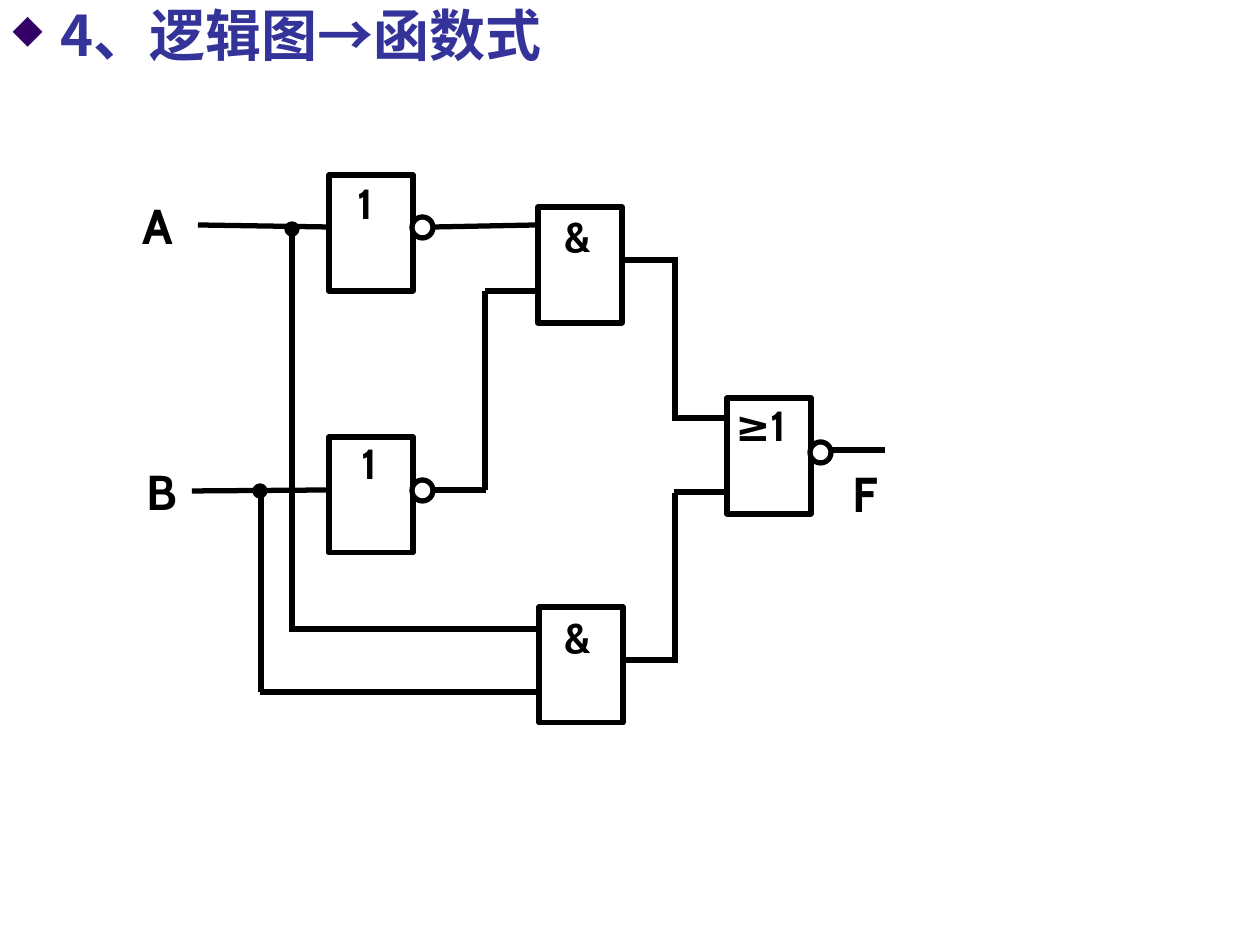
from typing import NamedTuple

from lxml.etree import SubElement
from pptx import Presentation
from pptx.dml.color import RGBColor
from pptx.enum.shapes import MSO_CONNECTOR, MSO_SHAPE
from pptx.enum.text import MSO_ANCHOR, MSO_AUTO_SIZE, PP_ALIGN
from pptx.oxml.ns import qn
from pptx.util import Inches, Pt

EMU_PER_PX = Inches(1) / 126
BLACK = RGBColor(0x00, 0x00, 0x00)
WHITE = RGBColor(0xFF, 0xFF, 0xFF)
TITLE_BLUE = RGBColor(0x33, 0x33, 0x99)
BULLET_PURPLE = RGBColor(0x33, 0x00, 0x66)
TITLE_FONT = "Noto Sans CJK SC"
TITLE_FORMAT = {"name": TITLE_FONT, "size": Pt(32), "bold": True}
GATE_FORMAT = {"name": "Cabin", "size": Pt(24), "bold": True}
SIGNAL_FORMAT = {"name": "Cabin", "size": Pt(28), "bold": True}
LINE_WIDTH = Pt(3)
GATE_SIZE = (84, 116)
BUBBLE_SIZE = (21, 21)
JUNCTION_SIZE = (10, 10)


class Wire(NamedTuple):
    x1: int
    y1: int
    x2: int
    y2: int


class Label(NamedTuple):
    text: str
    left: int
    top: int
    width: int
    height: int


class Gate(NamedTuple):
    left: int
    top: int
    label: Label


class Point(NamedTuple):
    left: int
    top: int


WIRES = [
    # Inputs A and B, and their branches to the lower AND gate
    Wire(198, 225, 330, 227),
    Wire(192, 491, 329, 490),
    Wire(292, 228, 292, 632),
    Wire(292, 629, 539, 629),
    Wire(261, 491, 261, 692),
    Wire(260, 692, 539, 692),
    # Inverters to the upper AND gate
    Wire(433, 227, 537, 225),
    Wire(433, 490, 486, 490),
    Wire(485, 291, 485, 490),
    Wire(485, 291, 538, 291),
    # AND gates to the NOR gate
    Wire(622, 260, 675, 260),
    Wire(675, 257, 675, 421),
    Wire(674, 418, 727, 418),
    Wire(622, 660, 676, 660),
    Wire(675, 493, 675, 663),
    Wire(674, 492, 727, 492),
    # Output F
    Wire(832, 450, 885, 450),
]
GATES = [
    Gate(329, 175, Label("1", 345, 171, 42, 63)),
    Gate(329, 437, Label("1", 349, 431, 42, 63)),
    Gate(538, 207, Label("&", 552, 204, 84, 63)),
    Gate(539, 607, Label("&", 552, 605, 84, 63)),
    Gate(727, 398, Label("≥1", 723, 393, 116, 63)),
]
BUBBLES = [Point(412, 217), Point(412, 480), Point(810, 442)]
JUNCTIONS = [Point(287, 224), Point(255, 486)]
SIGNALS = [
    Label("A", 130, 189, 74, 72),
    Label("B", 134, 455, 78, 72),
    Label("F", 840, 457, 74, 72),
]


def px(length: int) -> int:
    return round(length * EMU_PER_PX)


def format_run(run, formats: dict, color: RGBColor) -> None:
    for attribute, value in formats.items():
        setattr(run.font, attribute, value)
    run.font.color.rgb = color


def add_title(slide, text: str) -> None:
    title = slide.shapes.title
    places = {"left": px(0), "top": px(9), "width": px(1102), "height": px(62)}
    for attribute, value in places.items():
        setattr(title, attribute, value)
    frame = title.text_frame
    frame.auto_size = MSO_AUTO_SIZE.NONE
    frame.vertical_anchor = MSO_ANCHOR.MIDDLE
    paragraph = frame.paragraphs[0]
    paragraph.alignment = PP_ALIGN.LEFT
    paragraph.line_spacing = 0.8

    # Diamond bullet with a hanging indent
    properties = paragraph._p.get_or_add_pPr()
    properties.set("marL", str(px(48)))
    properties.set("indent", str(px(-48)))
    bullet_color = SubElement(properties, qn("a:buClr"))
    SubElement(bullet_color, qn("a:srgbClr"), val=str(BULLET_PURPLE))
    SubElement(properties, qn("a:buSzPct"), val="70000")
    SubElement(properties, qn("a:buChar"), char="◆")

    run = paragraph.add_run()
    run.text = text
    format_run(run, TITLE_FORMAT, TITLE_BLUE)
    SubElement(run._r.get_or_add_rPr(), qn("a:ea"), typeface=TITLE_FONT)


def add_wire(slide, wire: Wire) -> None:
    connector = slide.shapes.add_connector(
        MSO_CONNECTOR.STRAIGHT, *(px(value) for value in wire))
    connector.line.color.rgb = BLACK
    connector.line.width = LINE_WIDTH
    SubElement(connector._element.spPr, qn("a:effectLst"))


def add_outlined(slide, kind: MSO_SHAPE, left: int, top: int,
                 size: tuple[int, int], fill: RGBColor = WHITE) -> None:
    shape = slide.shapes.add_shape(
        kind, px(left), px(top), px(size[0]), px(size[1]))
    shape.shadow.inherit = False
    shape.fill.solid()
    shape.fill.fore_color.rgb = fill
    shape.line.color.rgb = BLACK
    shape.line.width = LINE_WIDTH


def add_label(slide, label: Label, formats: dict) -> None:
    text, *place = label
    box = slide.shapes.add_textbox(*(px(value) for value in place))
    box.text_frame.word_wrap = True
    run = box.text_frame.paragraphs[0].add_run()
    run.text = text
    format_run(run, formats, BLACK)


def main() -> None:
    presentation = Presentation()
    presentation.slide_width = px(1260)
    presentation.slide_height = px(945)
    slide = presentation.slides.add_slide(presentation.slide_layouts[5])

    add_title(slide, "4、逻辑图→函数式")

    # Circuit: wires lie behind gates, bubbles and junctions
    for wire in WIRES:
        add_wire(slide, wire)
    for gate in GATES:
        add_outlined(slide, MSO_SHAPE.RECTANGLE, gate.left, gate.top, GATE_SIZE)
        add_label(slide, gate.label, GATE_FORMAT)
    for bubble in BUBBLES:
        add_outlined(slide, MSO_SHAPE.OVAL, *bubble, BUBBLE_SIZE)
    for junction in JUNCTIONS:
        add_outlined(slide, MSO_SHAPE.OVAL, *junction, JUNCTION_SIZE, BLACK)

    # Signal names
    for signal in SIGNALS:
        add_label(slide, signal, SIGNAL_FORMAT)

    presentation.save("out.pptx")


if __name__ == "__main__":
    main()
